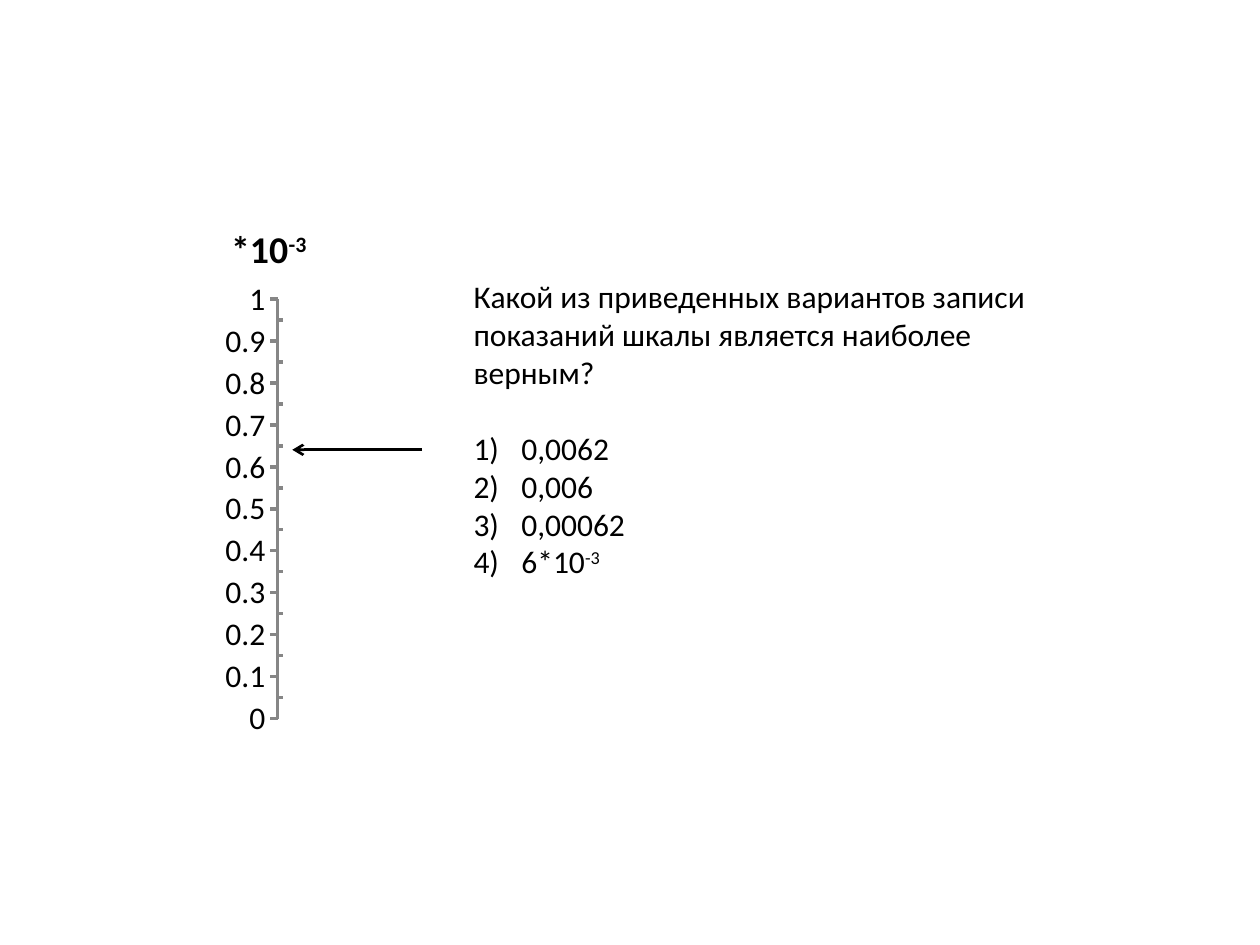
from lxml import etree
from pptx import Presentation
from pptx import util as u
from pptx.chart.data import XyChartData
from pptx.dml.color import RGBColor
from pptx.enum import chart as charts, shapes, text
from pptx.oxml import parse_xml
from pptx.oxml.ns import nsdecls, qn

COLORS = {"ink": "000000", "axis": "868686"}
QUESTION = "Какой из приведенных вариантов записи показаний шкалы является наиболее верным?"
ANSWERS = [("0,0062", ""), ("0,006", ""), ("0,00062", ""), ("6*10", "-3")]
POINTS = [(0.7, 2.7), (1.8, 3.2), (2.6, 0.8)]


class Page:
    font = "Calibri"
    size = 18

    def __init__(self, deck):
        self.slide = deck.slides.add_slide(deck.slide_layouts[6])

    def style(self, font, size=None, bold=False):
        font.name = self.font
        font.size = u.Pt(size or self.size)
        font.bold = bold
        font.color.rgb = RGBColor.from_string(COLORS["ink"])

    def add_words(self, para, words, power="", **look):
        self.style(para.font, **look)
        para.add_run().text = words
        if power:
            span = para.add_run()
            span.text = power
            span.font._element.set("baseline", "30000")

    def place(self, parent, index, **edges):
        """Give a chart part a manual layout, as fractions of the chart."""
        for old in parent.findall(qn("c:layout")):
            parent.remove(old)
        layout = parse_xml(f"<c:layout {nsdecls('c')}><c:manualLayout/></c:layout>")
        if "w" in edges:
            etree.SubElement(layout[0], qn("c:layoutTarget")).set("val", "inner")
        for mode in ("xMode", "yMode"):
            etree.SubElement(layout[0], qn("c:" + mode)).set("val", "edge")
        for name, value in edges.items():
            etree.SubElement(layout[0], qn("c:" + name)).set("val", str(value))
        parent.insert(index, layout)

    def scale(self, left, top, width, height):
        data = XyChartData()
        series = data.add_series("Series 1")
        for x, y in POINTS:
            series.add_data_point(x, y)
        chart = self.slide.shapes.add_chart(
            charts.XL_CHART_TYPE.XY_SCATTER, u.Inches(left), u.Inches(top),
            u.Inches(width), u.Inches(height), data).chart
        self.style(chart.font)
        chart.has_legend = False

        # Only the scale shows, not the points
        plot = chart.plots[0]
        plot.vary_by_categories = False
        points = plot.series[0]
        points.smooth = False
        points.marker.style = charts.XL_MARKER_STYLE.NONE
        points.format.line.fill.background()

        # Axes
        chart.category_axis.visible = False
        chart.category_axis.has_major_gridlines = False
        axis = chart.value_axis
        axis.has_major_gridlines = False
        axis.minimum_scale, axis.maximum_scale = 0, 1
        axis.major_unit, axis.minor_unit = 0.1, 0.05
        axis.major_tick_mark = charts.XL_TICK_MARK.OUTSIDE
        axis.minor_tick_mark = charts.XL_TICK_MARK.INSIDE
        axis.format.line.width = u.Pt(2)
        axis.format.line.color.rgb = RGBColor.from_string(COLORS["axis"])
        self.place(chart._chartSpace.chart.plotArea, 0, x=0.08, y=0.19, w=0.85, h=0.75)

        # Multiplier above the scale
        title = chart.chart_title
        self.add_words(title.text_frame.paragraphs[0], "*10", "-3", size=21.6, bold=True)
        self.place(title._element, 1, x=0.02, y=0.05)

    def arrow(self, start, end):
        line = self.slide.shapes.add_connector(
            shapes.MSO_CONNECTOR.STRAIGHT, *(u.Inches(n) for n in (*start, *end)))
        line.line.width = u.Pt(1.5)
        line.line.color.rgb = RGBColor.from_string(COLORS["ink"])
        etree.SubElement(line.line._get_or_add_ln(), qn("a:tailEnd")).set("type", "arrow")
        etree.SubElement(line._element.spPr, qn("a:effectLst"))

    def quiz(self, left, top, width, height):
        box = self.slide.shapes.add_textbox(*(u.Inches(n) for n in (left, top, width, height)))
        frame = box.text_frame
        frame.word_wrap = True
        frame.auto_size = text.MSO_AUTO_SIZE.SHAPE_TO_FIT_TEXT
        self.add_words(frame.paragraphs[0], QUESTION)
        frame.paragraphs[0].space_after = u.Pt(22)
        for words, power in ANSWERS:
            para = frame.add_paragraph()
            self.add_words(para, words, power)
            props = para._p.get_or_add_pPr()
            props.set("marL", str(u.Inches(0.38)))
            props.set("indent", str(u.Inches(-0.38)))
            bullet = parse_xml(f'<a:buAutoNum {nsdecls("a")} type="arabicParenR"/>')
            props.find(qn("a:defRPr")).addprevious(bullet)


def main():
    deck = Presentation()
    deck.slide_width, deck.slide_height = u.Inches(10), u.Inches(7.5)
    page = Page(deck)
    page.scale(1.67, 1.53, 6.67, 4.44)
    page.arrow((3.35, 3.57), (2.32, 3.57))
    page.quiz(3.66, 2.15, 4.88, 2.52)
    deck.save("out.pptx")


if __name__ == "__main__":
    main()
